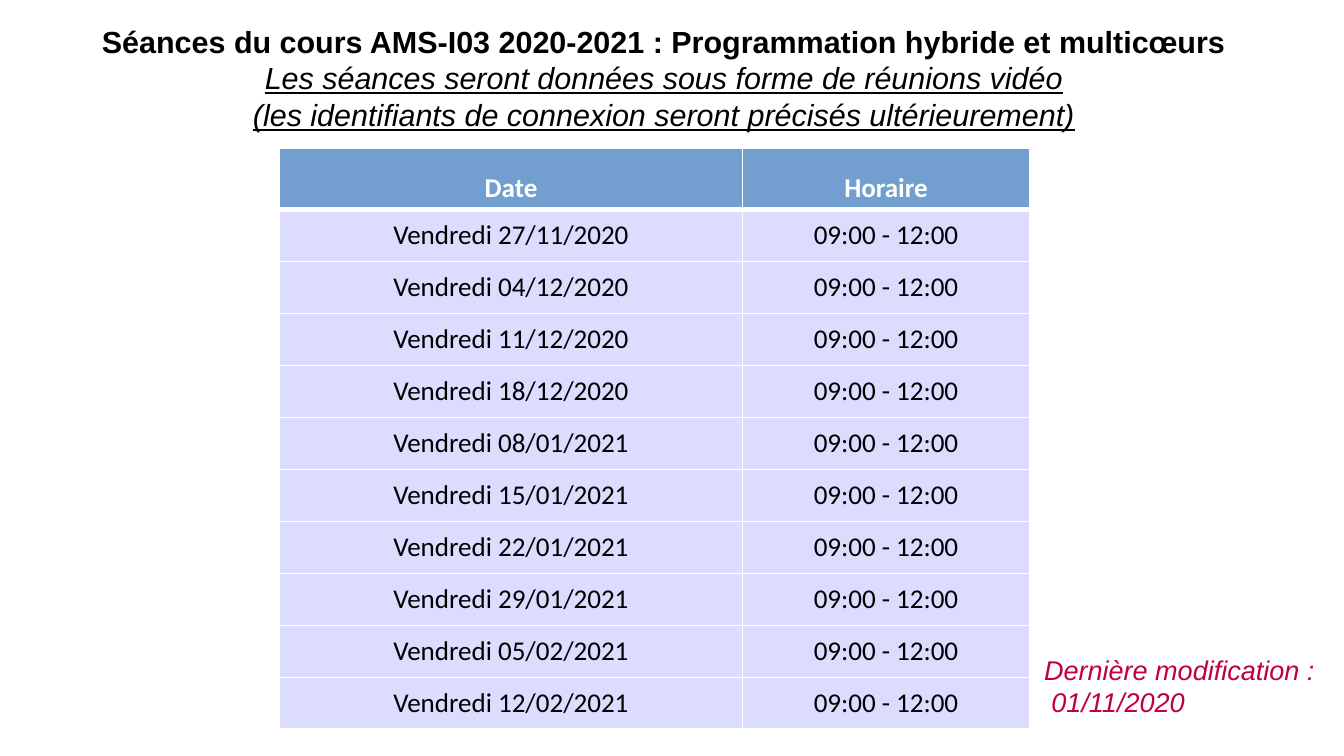
"""Build the timetable slide of the AMS-I03 course."""
from lxml import etree
from pptx import Presentation
from pptx import util as u
from pptx.dml.color import RGBColor
from pptx.enum import text
from pptx.oxml.ns import qn

COLORS = {"black": "000000", "white": "FFFFFF", "note": "BF0041",
          "header": "729FCF", "body": "DCDCFF"}
CENTER = text.PP_ALIGN.CENTER
DATES = ["27/11/2020", "04/12/2020", "11/12/2020", "18/12/2020", "08/01/2021",
         "15/01/2021", "22/01/2021", "29/01/2021", "05/02/2021", "12/02/2021"]

deck = Presentation()
deck.slide_width, deck.slide_height = u.Inches(11.02), u.Inches(6.2)
page = deck.slides.add_slide(deck.slide_layouts[6])


def write(para, words, font, size, color, bold=False, italic=False, underline=False):
    span = para.add_run()
    span.text = words
    span.font.name, span.font.size = font, u.Pt(size)
    span.font.bold, span.font.italic, span.font.underline = bold, italic, underline
    span.font.color.rgb = RGBColor.from_string(COLORS[color])


def add_box(left, top, width, height):
    box = page.shapes.add_textbox(
        int(deck.slide_width * left), int(deck.slide_height * top),
        int(deck.slide_width * width), int(deck.slide_height * height))
    box.text_frame.word_wrap = False
    return box.text_frame


title = add_box(0.054, 0.022, 0.88, 0.161)
title_lines = ["Séances du cours AMS-I03 2020-2021 : Programmation hybride et multicœurs",
               "Les séances seront données sous forme de réunions vidéo",
               "(les identifiants de connexion seront précisés ultérieurement)"]
for number, words in enumerate(title_lines):
    para = title.add_paragraph() if number else title.paragraphs[0]
    para.alignment = CENTER
    first = number == 0
    write(para, words, "Arial", 18, "black", first, not first, not first)

note = add_box(0.768, 0.856, 0.22, 0.102)
for number, words in enumerate(["Dernière modification\u00a0:", "01/11/2020"]):
    para = note.add_paragraph() if number else note.paragraphs[0]
    para.alignment = text.PP_ALIGN.LEFT
    if number:
        para._p.get_or_add_pPr().set("marL", str(u.Inches(0.06)))
    write(para, words, "Arial", 16, "note", italic=True)

rows = [("Date", "Horaire")] + [(f"Vendredi {date}", "09:00 - 12:00") for date in DATES]
widths, header_height, row_height = (3.8, 2.35), 0.5, 0.426
table = page.shapes.add_table(
    len(rows), len(widths), u.Inches(2.29), u.Inches(1.22), u.Inches(sum(widths)),
    u.Inches(header_height + row_height * len(DATES))).table
for column, width in zip(table.columns, widths):
    column.width = u.Inches(width)
for row_number, row in enumerate(rows):
    header = row_number == 0
    table.rows[row_number].height = u.Inches(header_height if header else row_height)
    for column_number, words in enumerate(row):
        cell = table.cell(row_number, column_number)
        properties = cell._tc.get_or_add_tcPr()
        for side in "LRTB":
            thick = (row_number, side) in [(0, "B"), (1, "T")]
            line = etree.SubElement(properties, qn(f"a:ln{side}"), w=str(u.Pt(3 if thick else 0.96)))
            paint = etree.SubElement(line, qn("a:solidFill"))
            etree.SubElement(paint, qn("a:srgbClr"), val=COLORS["white"])
        cell.fill.solid()
        cell.fill.fore_color.rgb = RGBColor.from_string(COLORS["header" if header else "body"])
        cell.vertical_anchor = text.MSO_ANCHOR.TOP if header else text.MSO_ANCHOR.MIDDLE
        para = cell.text_frame.paragraphs[0]
        para.alignment = CENTER
        if header:
            para.line_spacing = 1.5
        write(para, words, "Calibri", 16, "white" if header else "black", bold=header)

deck.save("out.pptx")
